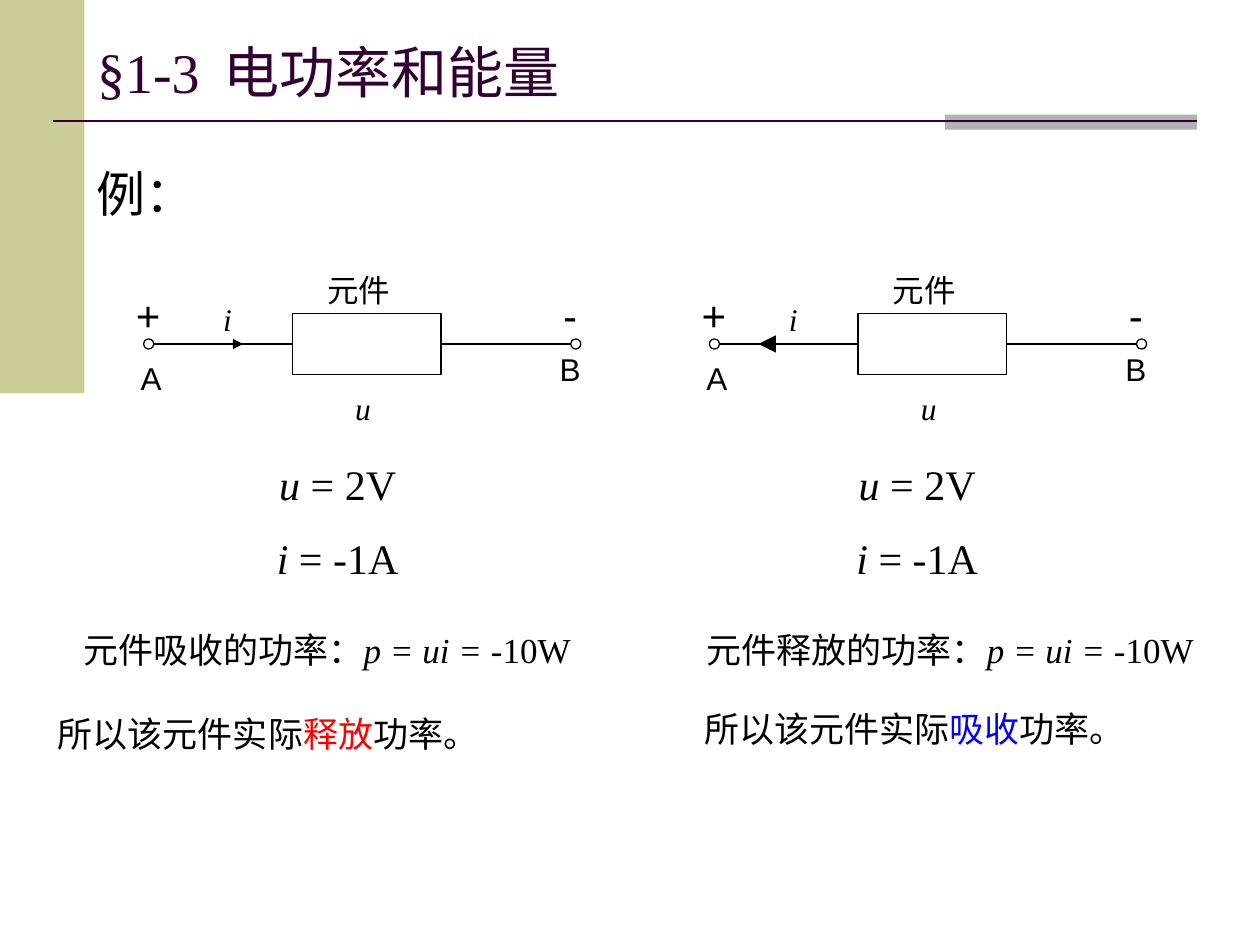
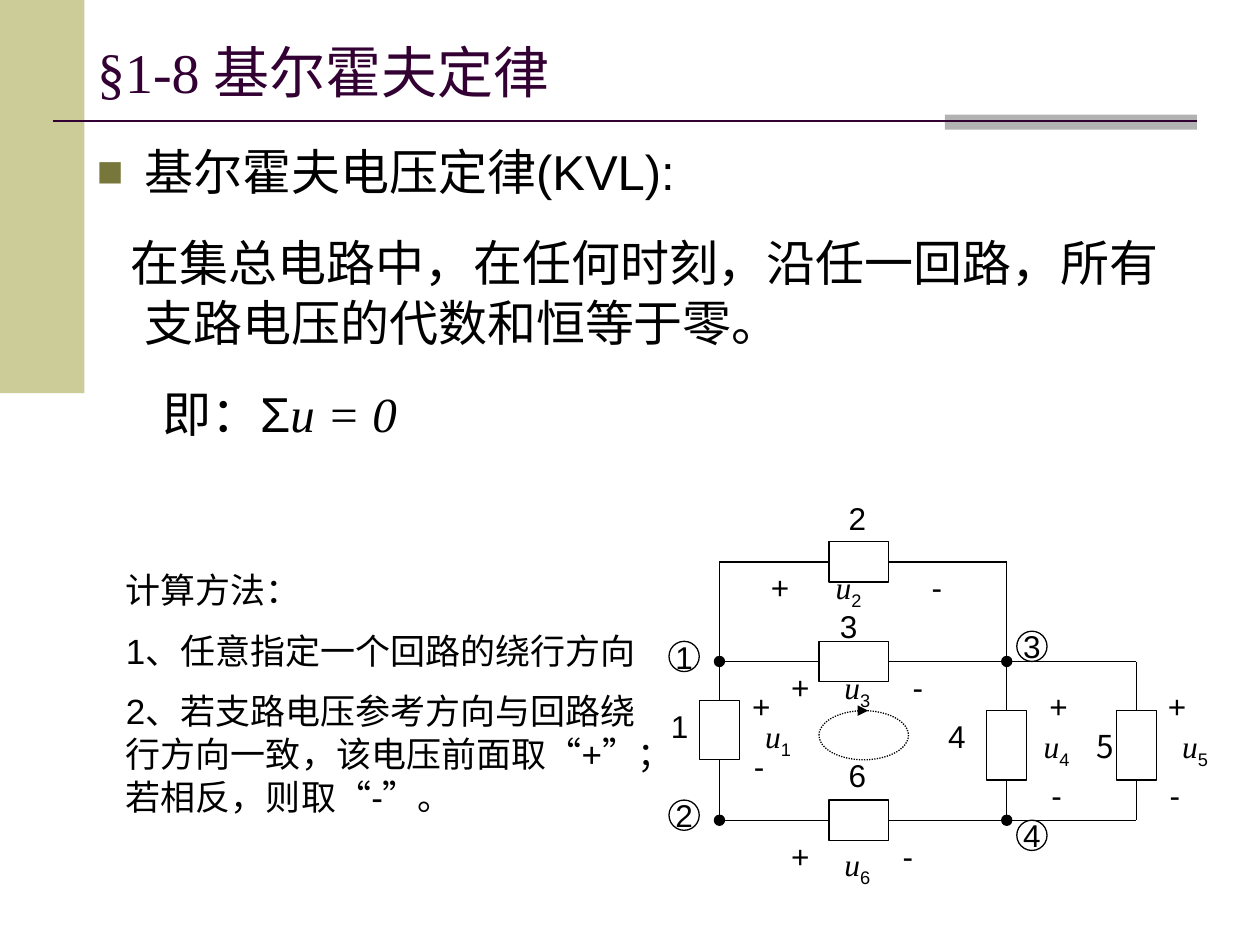
"""Builds two circuit theory slides: element power and Kirchhoff's voltage law."""
from typing import NamedTuple

from lxml import etree
from pptx import Presentation
from pptx.dml.color import RGBColor
from pptx.enum.dml import MSO_LINE
from pptx.enum.shapes import MSO_CONNECTOR, MSO_SHAPE
from pptx.enum.text import MSO_ANCHOR, MSO_AUTO_SIZE, PP_ALIGN
from pptx.oxml.ns import qn
from pptx.util import Inches, Pt

RECT, OVAL = MSO_SHAPE.RECTANGLE, MSO_SHAPE.OVAL
STRAIGHT, DOTTED = MSO_CONNECTOR.STRAIGHT, MSO_LINE.ROUND_DOT
LEFT, CENTER = PP_ALIGN.LEFT, PP_ALIGN.CENTER
MIDDLE = MSO_ANCHOR.MIDDLE
GROW, FIXED = MSO_AUTO_SIZE.SHAPE_TO_FIT_TEXT, MSO_AUTO_SIZE.NONE

BLACK, PLUM, SAND, GRAY, OLIVE = "000000", "330033", "CCCC99", "B2B2B2", "77773B"
RED, BLUE = "FF0000", "0000FF"
SANS, SERIF, HAN = "Arial", "Times New Roman", "Noto Sans CJK SC"
SITES = ((0.5, 0), (0, 0.5), (0.5, 1), (1, 0.5))


class Run(NamedTuple):
    """A stretch of text in one format."""
    text: str
    face: str = SANS
    italic: bool = False
    color: str = BLACK
    sub: bool = False


class Para(NamedTuple):
    """A paragraph; lead is exact line height, margin and indent are inches."""
    runs: tuple
    size: float = 18
    align: int = CENTER
    before: float = 0
    lead: float = 0
    margin: float = 0
    indent: float = 0
    bullet: str = ""
    tab: float = 0


class Box(NamedTuple):
    """A place on the slide in inches."""
    x: float
    y: float
    w: float
    h: float


class Label(NamedTuple):
    """A short text at a place."""
    text: str
    x: float
    y: float
    w: float = 0.47
    size: float = 18


class Wire(NamedTuple):
    """A straight line between two points."""
    x1: float
    y1: float
    x2: float
    y2: float


def paint(fmt, color: str) -> None:
    """Give a fill or line format a solid colour, or none when empty."""
    fill = getattr(fmt, "fill", fmt)
    if color:
        fill.solid()
        fill.fore_color.rgb = RGBColor.from_string(color)
    else:
        fill.background()


def child(parent, tag: str, **attrs: str):
    """Append a drawing element with attributes."""
    node = etree.SubElement(parent, qn(tag))
    for key, value in attrs.items():
        node.set(key, value)
    return node


def write(frame, paras: tuple) -> None:
    """Fill a text frame with paragraphs."""
    for n, item in enumerate(paras):
        para = frame.paragraphs[0] if n == 0 else frame.add_paragraph()
        look = {"alignment": item.align, "space_before": Pt(item.before if n else 0)}
        if item.lead:
            look["line_spacing"] = Pt(item.lead)
        for key, value in look.items():
            setattr(para, key, value)
        props = para._p.get_or_add_pPr()
        props.set("marL", str(Inches(item.margin)))
        props.set("indent", str(Inches(item.indent)))
        if item.bullet:
            child(child(props, "a:buClr"), "a:srgbClr", val=OLIVE)
            child(props, "a:buSzPct", val="90000")
            child(props, "a:buFont", typeface=SANS)
            child(props, "a:buChar", char=item.bullet)
        else:
            child(props, "a:buNone")
        if item.tab:
            stops = child(props, "a:tabLst")
            child(stops, "a:tab", pos=str(Inches(item.tab)), algn="l")
        for part in item.runs:
            run = para.add_run()
            run.text = part.text
            look = {"name": part.face, "size": Pt(item.size),
                    "bold": False, "italic": part.italic}
            for key, value in look.items():
                setattr(run.font, key, value)
            run.font.color.rgb = RGBColor.from_string(part.color)
            props = run._r.get_or_add_rPr()
            child(props, "a:ea", typeface=HAN)
            if part.sub:
                props.set("baseline", "-25000")


def text(slide, box: Box, *paras: Para, fit=GROW) -> None:
    """Add a wrapped text box."""
    frame = slide.shapes.add_textbox(*map(Inches, box)).text_frame
    frame.word_wrap, frame.auto_size = True, fit
    write(frame, paras)


def label(slide, item: Label, *runs: Run, lead: float = 0) -> None:
    """Add a centred label, plain unless runs are given."""
    box = Box(item.x, item.y, item.w, 0.5 if item.size > 18 else 0.4)
    text(slide, box, Para(runs or (Run(item.text),), item.size, lead=lead))


def shape(slide, kind, box: Box, fill: str = "", line: str = BLACK):
    """Add a preset shape with a thin outline."""
    item = slide.shapes.add_shape(kind, *map(Inches, box))
    item.shadow.inherit = False
    paint(item.fill, fill)
    paint(item.line, line)
    if line:
        item.line.width = Pt(0.75)
    return item


def dot(slide, x: float, y: float, fill: str = "") -> None:
    """Add a small circle centred on a point."""
    shape(slide, OVAL, Box(x - 0.04, y - 0.04, 0.08, 0.08), fill)


def wire(slide, item: Wire, rects=(), color=BLACK, width=0.75, arrow="") -> None:
    """Add a line and join its ends to rectangle sides they meet."""
    ends = tuple(map(Inches, item))
    line = slide.shapes.add_connector(STRAIGHT, *ends)
    paint(line.line, color)
    line.line.width = Pt(width)
    child(line._element.spPr, "a:effectLst")
    if arrow:
        child(line.line._get_or_add_ln(), "a:tailEnd", type="triangle", w=arrow, len=arrow)
    for join, (x, y) in ((line.begin_connect, ends[:2]), (line.end_connect, ends[2:])):
        for rect in rects:
            for site, (fx, fy) in enumerate(SITES):
                gap = (abs(rect.left + fx * rect.width - x)
                       + abs(rect.top + fy * rect.height - y))
                if gap < Inches(0.01):
                    join(rect, site)


def start(deck, title: str, tab: float = 0):
    """Add a slide with the shared bands, rule and title."""
    slide = deck.slides.add_slide(deck.slide_layouts[5])
    shape(slide, RECT, Box(0, 0, 0.67, 3.12), SAND, "")
    shape(slide, RECT, Box(7.5, 0.91, 2, 0.12), GRAY, "")
    wire(slide, Wire(0.42, 0.96, 9.5, 0.96), color=PLUM, width=1.5)
    head = slide.shapes.title
    place = zip(("left", "top", "width", "height"), (0.67, 0.3, 8.83, 0.53))
    for key, value in place:
        setattr(head, key, Inches(value))
    frame = head.text_frame
    frame.word_wrap, frame.auto_size, frame.vertical_anchor = True, FIXED, MIDDLE
    write(frame, (Para((Run(title, SERIF, color=PLUM),), 32, LEFT, tab=tab),))
    return slide


def branch(slide, dx: float, arrow: Wire, head: str) -> None:
    """Draw one element between terminals A and B, shifted right by dx."""
    rect = shape(slide, RECT, Box(2.32 + dx, 2.49, 1.18, 0.48))
    for x1, x2 in ((1.22, 2.32), (3.5, 4.53)):
        wire(slide, Wire(x1 + dx, 2.73, x2 + dx, 2.73), (rect,))
    for x in (1.18, 4.57):
        dot(slide, x + dx, 2.73)
    wire(slide, arrow, arrow=head)
    for item in (Label("-", 4.29, 2.25, size=24), Label("B", 4.29, 2.73),
                 Label("A", 0.95, 2.8, 0.5), Label("+", 0.9, 2.25, 0.55, 24)):
        label(slide, item._replace(x=item.x + dx))
    for item in (Label("i", 1.61, 2.33, 0.39), Label("u", 2.72, 3.04, 0.31)):
        label(slide, item._replace(x=item.x + dx), Run(item.text, SERIF, True))
    label(slide, Label("元件", 2.37 + dx, 2.1, 0.95), lead=22)


def result(slide, values: Box, power: Box, final: Box, verb: str, fact: Run) -> None:
    """Write the values, power and conclusion under an element."""
    text(slide, values, *(
        Para((Run(name, SERIF, True), Run(value, SERIF)), 24, before=13.5)
        for name, value in (("u ", "= 2V"), ("i ", "= -1A"))))
    text(slide, power, Para((Run(f"元件{verb}的功率："), Run("p = ui = ", SERIF, True),
                             Run("-10W", SERIF)), 20, lead=24.5))
    text(slide, final, Para((Run("所以该元件实际"), fact, Run("功率。")),
                            20, LEFT, lead=24.5))


def power(deck) -> None:
    """Build the slide on absorbed and released power."""
    slide = start(deck, "§1-3\t电功率和能量", 1.17)
    text(slide, Box(0.67, 1.24, 8.83, 3.53),
         Para((Run("例："),), 28, LEFT, lead=34), fit=FIXED)
    branch(slide, 0, Wire(1.61, 2.73, 1.93, 2.73), "med")
    branch(slide, 4.49, Wire(6.5, 2.73, 6.02, 2.73), "lg")
    result(slide, Box(1.38, 3.59, 2.6, 1.11), Box(0.51, 4.93, 4.17, 0.44),
           Box(0.36, 5.6, 3.94, 0.44), "吸收", Run("释放", color=RED))
    result(slide, Box(6.1, 3.59, 2.36, 1.11), Box(5.44, 4.93, 4.2, 0.44),
           Box(5.49, 5.56, 3.81, 0.44), "释放", Run("吸收", color=BLUE))


def mesh(slide) -> None:
    """Draw the six-branch circuit with its nodes, signs and loop."""
    rects = [shape(slide, RECT, Box(*place)) for place in (
        (5.55, 5.56, 0.32, 0.47), (6.58, 4.3, 0.47, 0.32), (6.5, 5.09, 0.55, 0.32),
        (7.83, 5.64, 0.32, 0.55), (8.86, 5.64, 0.32, 0.55), (6.58, 6.35, 0.47, 0.32))]
    for ends in ((5.71, 6.03, 5.71, 6.51), (5.71, 6.51, 6.58, 6.51),
                 (7.05, 6.51, 9.02, 6.51), (5.71, 5.56, 5.71, 4.46),
                 (5.71, 4.46, 6.58, 4.46), (5.71, 5.25, 6.5, 5.25),
                 (7.05, 4.46, 7.99, 4.46), (7.99, 5.64, 7.99, 4.46),
                 (7.05, 5.25, 7.99, 5.25), (7.99, 5.25, 9.02, 5.25),
                 (9.02, 5.25, 9.02, 5.64), (7.99, 6.51, 7.99, 6.19),
                 (9.02, 6.51, 9.02, 6.19)):
        wire(slide, Wire(*ends), rects)
    for x in (5.71, 7.99):
        for y in (5.25, 6.51):
            dot(slide, x, y, BLACK)
    nodes = ((5.31, 5.09), (5.31, 6.35), (8.07, 5.01), (8.07, 6.51))
    for n, (x, y) in enumerate(nodes, 1):
        frame = shape(slide, OVAL, Box(x, y, 0.24, 0.24)).text_frame
        frame.word_wrap, frame.vertical_anchor = False, MIDDLE
        write(frame, (Para((Run(str(n)),)),))
    names = ((5.16, 5.56), (6.57, 3.91), (6.5, 4.77), (7.36, 5.64), (8.54, 5.72), (6.57, 5.95))
    volts = ((5.94, 5.64), (6.5, 4.46), (6.57, 5.25), (8.15, 5.72), (9.25, 5.72), (6.57, 6.66))
    for n, (name, volt) in enumerate(zip(names, volts), 1):
        label(slide, Label(str(n), *name), Run(str(n), HAN if n == 5 else SANS))
        label(slide, Label("", *volt), Run("u", SERIF, True), Run(str(n), sub=True))
    signs = {"+": ((5.87, 5.4), (6.02, 4.46), (6.18, 5.25), (8.23, 5.4), (9.17, 5.4), (6.18, 6.59)),
             "-": ((5.87, 5.88), (7.28, 4.46), (7.13, 5.25), (8.23, 6.11), (9.17, 6.11),
                   (7.05, 6.59))}
    for sign, spots in signs.items():
        for x, y in spots:
            label(slide, Label(sign, x, y, 0.31))
    loop = shape(slide, OVAL, Box(6.5, 5.64, 0.71, 0.39))
    loop.line.dash_style = DOTTED
    wire(slide, Wire(6.81, 5.64, 6.89, 5.64), arrow="med")


def law(deck) -> None:
    """Build the slide on Kirchhoff's voltage law."""
    slide = start(deck, "§1-8 基尔霍夫定律")
    base = Para((), 28, LEFT, 18, 34, 0.38)
    text(slide, Box(0.67, 1.07, 8.83, 5.91),
         base._replace(runs=(Run("基尔霍夫电压定律(KVL):"),), indent=-0.38, bullet="■"),
         base._replace(runs=(Run("在集总电路中，在任何时刻，沿任一回路，所有支路电压的代数和恒等于零。"),),
                       indent=-0.11),
         base._replace(runs=(Run("即：Σ"), Run("u = 0", SERIF, True)), indent=0.14),
         fit=FIXED)
    mesh(slide)
    steps = ("计算方法：", "1、任意指定一个回路的绕行方向",
             "2、若支路电压参考方向与回路绕行方向一致，该电压前面取“+”；若相反，则取“-”。")
    text(slide, Box(0.9, 4.46, 4.33, 2.1),
         *(Para((Run(step),), 20, LEFT, 10, 24.5) for step in steps))


def main() -> None:
    """Build and save the deck."""
    deck = Presentation()
    deck.slide_width, deck.slide_height = Inches(10), Inches(7.5)
    power(deck)
    law(deck)
    deck.save("out.pptx")


if __name__ == "__main__":
    main()
